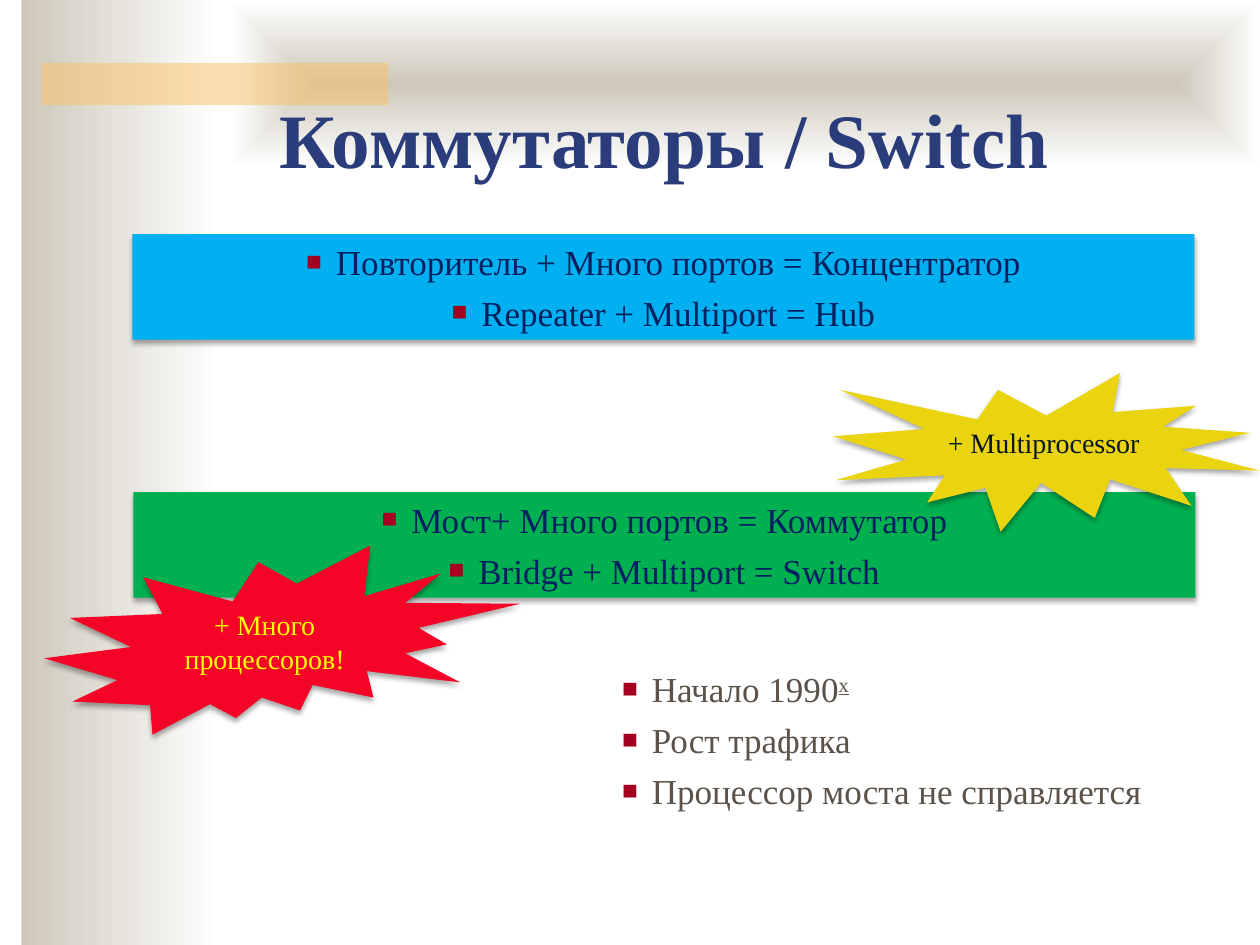
from lxml.etree import SubElement
from pptx import Presentation
from pptx.dml.color import RGBColor
from pptx.enum.shapes import MSO_SHAPE
from pptx.enum.text import MSO_ANCHOR, PP_ALIGN
from pptx.oxml import parse_xml
from pptx.oxml.ns import nsdecls, qn
from pptx.util import Cm, Pt

FONT = "Times New Roman"
SAND, WHITE, NAVY, MAROON = "CEC8BA", "FFFFFF", "002060", "A50021"
LINEAR = '<a:lin ang="0" scaled="1"/>'
FROM_CENTRE = ('<a:path path="shape"><a:fillToRect l="50000" t="50000" '
               'r="50000" b="50000"/></a:path>')

# Boxes are left, top, width, height in cm
TITLE = ("Коммутаторы / Switch", (1.7, 1.73, 23.39, 2.69))
BACKGROUND = [
    ((0.43, 0, 4.01, 19.05), LINEAR),
    ((4.65, 0, 20.75, 3.38), FROM_CENTRE),
]
ACCENT = (0.84, 1.27, 6.99, 0.85)
BARS = [
    (["Повторитель + Много портов = Концентратор", "Repeater + Multiport = Hub"],
     (2.67, 4.72, 21.41, 2.13), "00B0F0"),
    (["Мост+ Много портов = Коммутатор", "Bridge + Multiport = Switch"],
     (2.69, 9.92, 21.41, 2.13), "00B050"),
]
BURSTS = [
    ("+ Много процессоров!", (0.89, 11, 9.6, 3.81),
     MSO_SHAPE.EXPLOSION2, "F40426", "FFFF00"),
    ("+ Multiprocessor", (16.79, 7.52, 8.61, 3.2),
     MSO_SHAPE.EXPLOSION1, "E9D40F", "0A1625"),
]
REASONS = ["Начало 1990", "Рост трафика", "Процессор моста не справляется"]
REASONS_BOX = (12.29, 13.34, 11.99, 3.18)
DECADE_SUFFIX = "х"


def rgb(value):
    return RGBColor.from_string(value)


def place(box):
    return [Cm(v) for v in box]


def add_shape(slide, box, color, kind=MSO_SHAPE.RECTANGLE):
    s = slide.shapes.add_shape(kind, *place(box))
    s.shadow.inherit = False
    s.fill.solid()
    s.fill.fore_color.rgb = rgb(color)
    s.line.fill.background()
    return s


def set_gradient(s, direction):
    solid = s._element.spPr.find(qn("a:solidFill"))
    stops = "".join(f'<a:gs pos="{pos}"><a:srgbClr val="{color}"/></a:gs>'
                    for pos, color in ((0, SAND), (100000, WHITE)))
    solid.getparent().replace(solid, parse_xml(
        f'<a:gradFill {nsdecls("a")} rotWithShape="1">'
        f'<a:gsLst>{stops}</a:gsLst>{direction}</a:gradFill>'))


def set_alpha(color_element, percent):
    SubElement(color_element, qn("a:alpha"), val=str(percent * 1000))


def drop_shadow(s):
    effects = s._element.spPr.find(qn("a:effectLst"))
    shadow = SubElement(effects, qn("a:outerShdw"), blurRad=str(Pt(3.1)),
                        dist=str(Pt(1.8)), dir="5400000", rotWithShape="0")
    set_alpha(SubElement(shadow, qn("a:srgbClr"), val="000000"), 35)


def add_bullet(p):
    pPr = p._p.get_or_add_pPr()
    pPr.set("marL", str(Cm(0.6)))
    pPr.set("indent", str(-Cm(0.6)))
    color = SubElement(pPr, qn("a:buClr"))
    SubElement(color, qn("a:srgbClr"), val=MAROON)
    SubElement(pPr, qn("a:buSzPct"), val="75000")
    SubElement(pPr, qn("a:buFont"), typeface=FONT)
    SubElement(pPr, qn("a:buChar"), char="■")


def format_run(r, size, color, bold=False):
    r.font.name = FONT
    r.font.size = Pt(size)
    r.font.bold = bold
    r.font.color.rgb = rgb(color)


def write(s, lines, size, color, align=PP_ALIGN.CENTER, bold=False, bullets=False):
    tf = s.text_frame
    tf.word_wrap = True
    tf.vertical_anchor = MSO_ANCHOR.TOP
    tf.text = "\n".join(lines)
    for i, p in enumerate(tf.paragraphs):
        p.alignment = align
        if i:
            p.space_before = Pt(5)
        if bullets:
            add_bullet(p)
        format_run(p.runs[0], size, color, bold)
    return tf


def main():
    prs = Presentation()
    prs.slide_width, prs.slide_height = Cm(25.4), Cm(19.05)
    slide = prs.slides.add_slide(prs.slide_layouts[6])

    for box, direction in BACKGROUND:
        set_gradient(add_shape(slide, box, SAND), direction)
    accent = add_shape(slide, ACCENT, "FAC164")
    set_alpha(accent._element.spPr.find(qn("a:solidFill"))[0], 50)

    title, box = TITLE
    write(slide.shapes.add_textbox(*place(box)), [title], 44, "2A3D7A", bold=True)

    for lines, box, fill in BARS:
        bar = add_shape(slide, box, fill)
        drop_shadow(bar)
        write(bar, lines, 20, NAVY, bullets=True)

    for text, box, kind, fill, color in BURSTS:
        burst = add_shape(slide, box, fill, kind)
        drop_shadow(burst)
        write(burst, [text], 16, color).margin_bottom = 0

    reasons = slide.shapes.add_textbox(*place(REASONS_BOX))
    tf = write(reasons, REASONS, 20, "5B5249", PP_ALIGN.LEFT, bullets=True)
    r = tf.paragraphs[0].add_run()
    r.text = DECADE_SUFFIX
    format_run(r, 20, "5B5249")
    r.font.underline = True
    r._r.get_or_add_rPr().set("baseline", "30000")

    prs.save("out.pptx")


if __name__ == "__main__":
    main()
